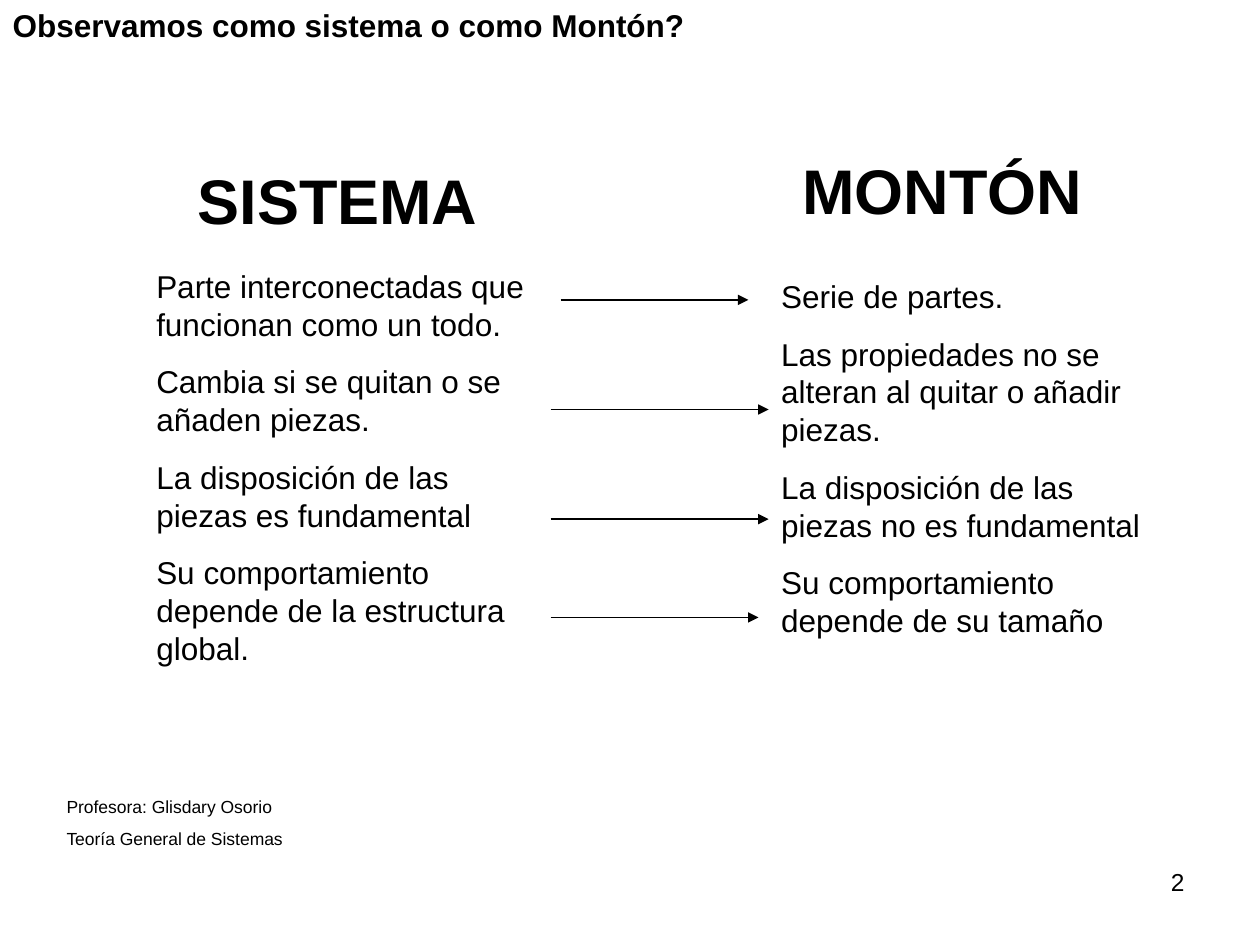
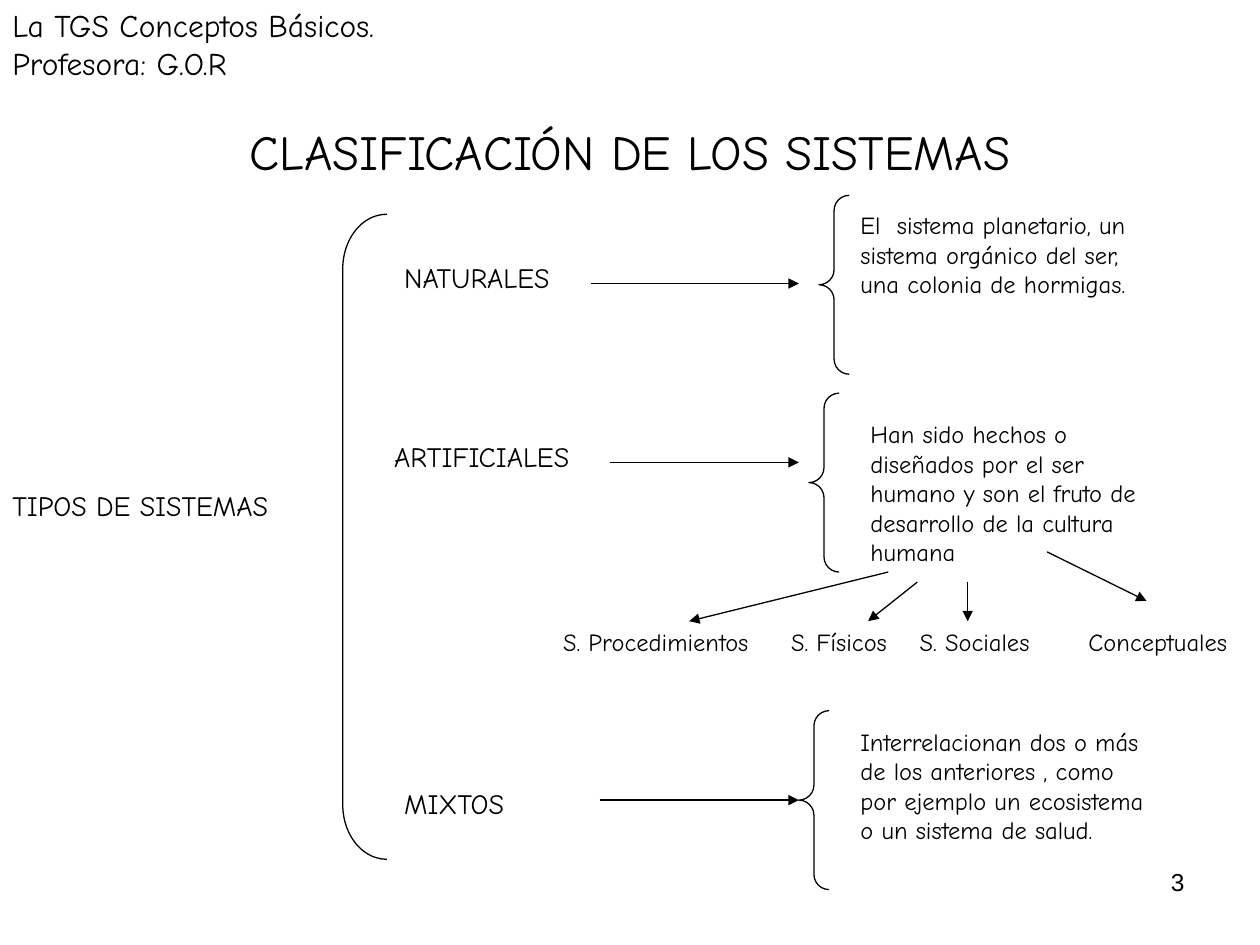
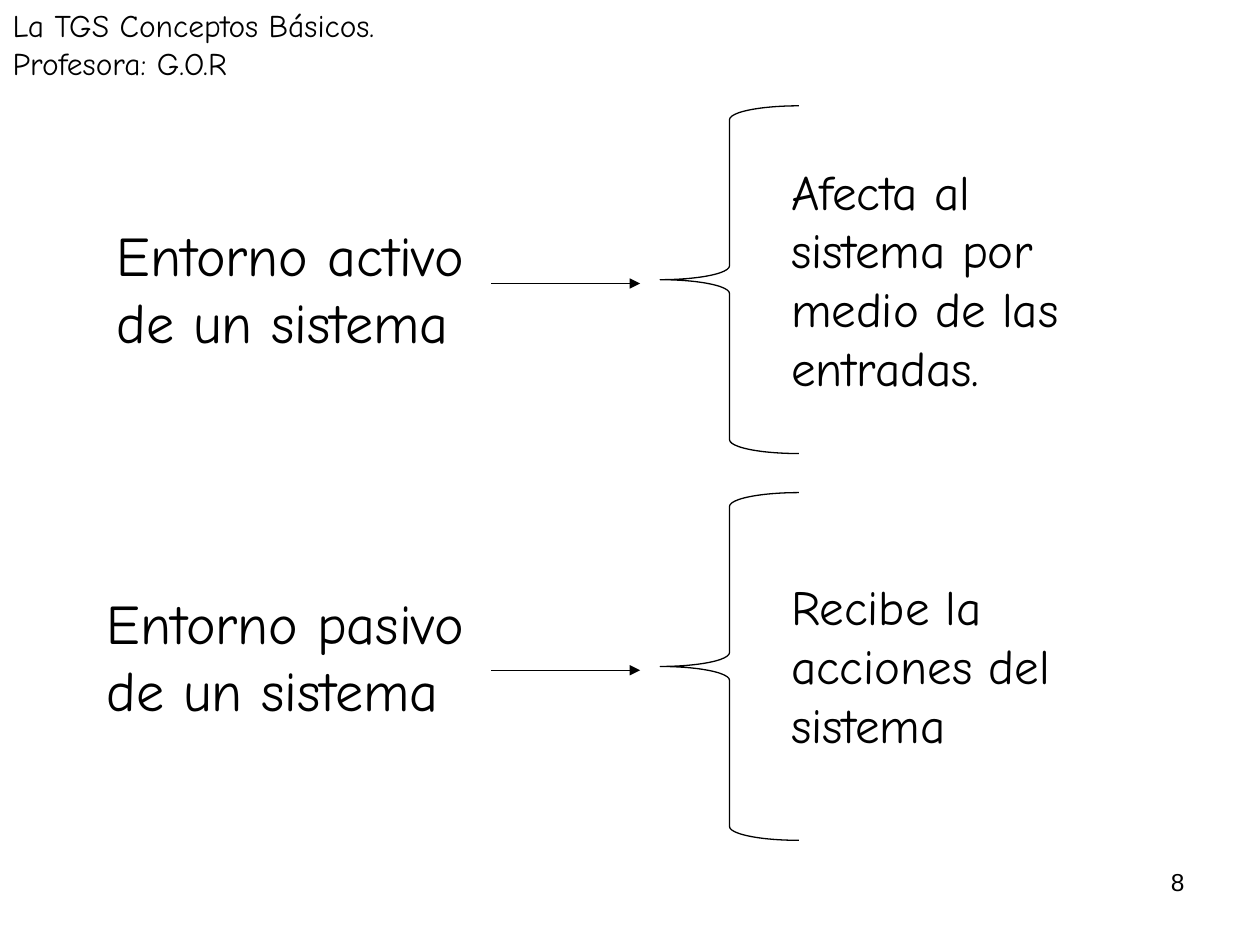
from lxml import etree
from pptx import Presentation
from pptx.dml.color import RGBColor
from pptx.enum.shapes import MSO_CONNECTOR, MSO_SHAPE
from pptx.enum.text import MSO_ANCHOR, MSO_AUTO_SIZE, PP_ALIGN
from pptx.oxml.ns import qn
from pptx.util import Inches, Pt

LEFT, CENTER, RIGHT = PP_ALIGN.LEFT, PP_ALIGN.CENTER, PP_ALIGN.RIGHT
TOP, MIDDLE = MSO_ANCHOR.TOP, MSO_ANCHOR.MIDDLE
NO_AUTOFIT = MSO_AUTO_SIZE.NONE
STRAIGHT = MSO_CONNECTOR.STRAIGHT
BRACE, BRACKET = MSO_SHAPE.LEFT_BRACE, MSO_SHAPE.LEFT_BRACKET

COLORS = {"ink": "000000"}
INK = RGBColor.from_string(COLORS["ink"])
ARIAL, COMIC = "Arial", "Comic Neue"
LINE_WIDTH = Pt(0.75)
HEADER = "La TGS Conceptos Básicos. Profesora: G.O.R"
HEADER_BOX = (0, 0, 3.43, 0.7)


def write_text(shape, box, text, size, font=COMIC, bold=False, align=LEFT, anchor=TOP):
    """Place a text shape and format every paragraph in it."""
    shape.left, shape.top, shape.width, shape.height = map(Inches, box)
    text_frame = shape.text_frame
    text_frame.text = text
    text_frame.word_wrap = True
    text_frame.auto_size = NO_AUTOFIT
    text_frame.vertical_anchor = anchor
    for paragraph in text_frame.paragraphs:
        paragraph.alignment = align
        paragraph.space_before = Pt(size * 0.625)
        if shape.is_placeholder:
            properties = paragraph._p.get_or_add_pPr()
            properties.set("marL", "0")
            properties.set("indent", "0")
            etree.SubElement(properties, qn("a:buNone"))
        for run in paragraph.runs:
            run.font.size = Pt(size)
            run.font.name = font
            run.font.bold = bold
            run.font.color.rgb = INK


def add_outline(slide, kind, box, curve):
    """Add an unfilled brace or bracket."""
    shape = slide.shapes.add_shape(kind, *map(Inches, box))
    shape.adjustments[0] = curve
    shape.fill.background()
    shape.line.color.rgb = INK
    shape.line.width = LINE_WIDTH
    shape.shadow.inherit = False


presentation = Presentation()
presentation.slide_width = Inches(10)
presentation.slide_height = Inches(7.5)
comparison_layout = presentation.slide_layouts.get_by_name("Comparison")
title_layout = presentation.slide_layouts.get_by_name("Title Only")

# Slide 1: system against heap
comparison = presentation.slides.add_slide(comparison_layout)
write_text(comparison.shapes.title, (0, 0, 7.24, 0.4),
           "Observamos como sistema o como Montón?", 18, ARIAL, bold=True)

columns = [
    (1, "SISTEMA", (0.67, 1.23, 4.02, 0.7), (1.14, 2.07, 3.15, 3.27), [
        "Parte interconectadas que funcionan como un todo.",
        "Cambia si se quitan o se añaden piezas.",
        "La disposición de las piezas es fundamental",
        "Su comportamiento depende de la estructura global.",
    ]),
    (3, "MONTÓN", (5.08, 1.15, 4.8, 0.7), (6.1, 2.15, 3.15, 2.97), [
        "Serie de partes.",
        "Las propiedades no se alteran al quitar o añadir piezas.",
        "La disposición de las piezas no es fundamental",
        "Su comportamiento depende de su tamaño",
    ]),
]
for index, heading, heading_box, list_box, traits in columns:
    write_text(comparison.placeholders[index], heading_box, heading, 36, ARIAL,
               bold=True, align=CENTER)
    write_text(comparison.placeholders[index + 1], list_box, "\n".join(traits), 18, ARIAL)

credits_box = comparison.shapes.add_textbox(0, 0, 0, 0)
write_text(credits_box, (0.43, 6.27, 9.14, 0.52),
           "Profesora: Glisdary Osorio\nTeoría General de Sistemas", 10, ARIAL)

# Slide 2: classification tree
classification = presentation.slides.add_slide(title_layout)
write_text(classification.shapes.title, (0.5, 0.84, 9, 0.71),
           "CLASIFICACIÓN DE LOS SISTEMAS", 28, align=CENTER, anchor=MIDDLE)

classification_texts = [
    (HEADER_BOX, HEADER, 18),
    ((0, 3.83, 2.84, 0.37), "TIPOS DE SISTEMAS", 16),
    ((3.11, 2.02, 1.74, 0.37), "NATURALES", 16),
    ((3.03, 3.44, 1.9, 0.37), "ARTIFICIALES", 16),
    ((3.11, 6.19, 1.74, 0.37), "MIXTOS", 16),
    ((6.73, 1.62, 2.52, 0.8),
     "El  sistema planetario, un sistema orgánico del ser, una colonia de hormigas.", 14),
    ((6.81, 3.28, 2.52, 1.27),
     "Han sido hechos o diseñados por el ser humano y son el fruto de desarrollo "
     "de la cultura humana", 14),
    ((6.73, 5.72, 2.52, 1.04),
     "Interrelacionan dos o más de los anteriores , como por ejemplo un ecosistema "
     "o un sistema de salud.", 14),
    ((4.37, 4.93, 2.21, 0.34), "S. Procedimientos", 14),
    ((6.18, 4.93, 1.26, 0.34), "S. Físicos", 14),
    ((7.2, 4.93, 1.26, 0.34), "S. Sociales", 14),
    ((8.54, 4.93, 1.46, 0.34), "Conceptuales", 14),
]
for box, text, size in classification_texts:
    write_text(classification.shapes.add_textbox(0, 0, 0, 0), box, text, size)

add_outline(classification, BRACKET, (2.72, 1.7, 0.35, 5.12), 1.24)
for left, top in [(6.5, 1.55), (6.42, 3.12), (6.34, 5.64)]:
    add_outline(classification, BRACE, (left, top, 0.24, 1.42), 0.5)

# Slide 3: active and passive environment
environment = presentation.slides.add_slide(title_layout)
write_text(environment.shapes.title, HEADER_BOX, HEADER, 18)

environment_texts = [
    ((0.83, 1.7, 3.23, 1.17), "Entorno activo de un sistema", 32),
    ((0.75, 4.62, 3.54, 1.17), "Entorno pasivo de un sistema", 32),
    ((6.18, 1.23, 2.68, 1.97), "Afecta al sistema por medio de las entradas.", 28),
    ((6.18, 4.53, 2.68, 1.5), "Recibe la acciones del sistema", 28),
]
for box, text, size in environment_texts:
    write_text(environment.shapes.add_textbox(0, 0, 0, 0), box, text, size)
for top in (0.84, 3.91):
    add_outline(environment, BRACE, (5.24, top, 1.1, 2.76), 0.1)

# Arrows and page numbers of every slide
slide_details = [
    (comparison, "2", [
        (4.45, 2.38, 5.94, 2.38), (4.37, 3.25, 6.1, 3.25),
        (4.37, 4.12, 6.1, 4.12), (4.37, 4.9, 6.02, 4.9),
    ]),
    (classification, "3", [
        (4.69, 2.25, 6.34, 2.25), (4.84, 3.67, 6.34, 3.67), (4.76, 6.35, 6.34, 6.35),
        (7.05, 4.54, 5.47, 4.93), (7.28, 4.62, 6.89, 4.93),
        (7.68, 4.62, 7.68, 4.93), (8.31, 4.38, 9.1, 4.77),
    ]),
    (environment, "8", [(3.9, 2.25, 5.08, 2.25), (3.9, 5.32, 5.08, 5.32)]),
]
for slide, page_number, arrows in slide_details:
    for ends in arrows:
        arrow = slide.shapes.add_connector(STRAIGHT, *map(Inches, ends))
        arrow.line.color.rgb = INK
        arrow.line.width = LINE_WIDTH
        etree.SubElement(arrow.line._get_or_add_ln(), qn("a:tailEnd"), type="triangle")
        etree.SubElement(arrow._element.spPr, qn("a:effectLst"))
    write_text(slide.shapes.add_textbox(0, 0, 0, 0), (7.17, 6.83, 2.33, 0.52),
               page_number, 14, ARIAL, align=RIGHT)

presentation.save("out.pptx")
